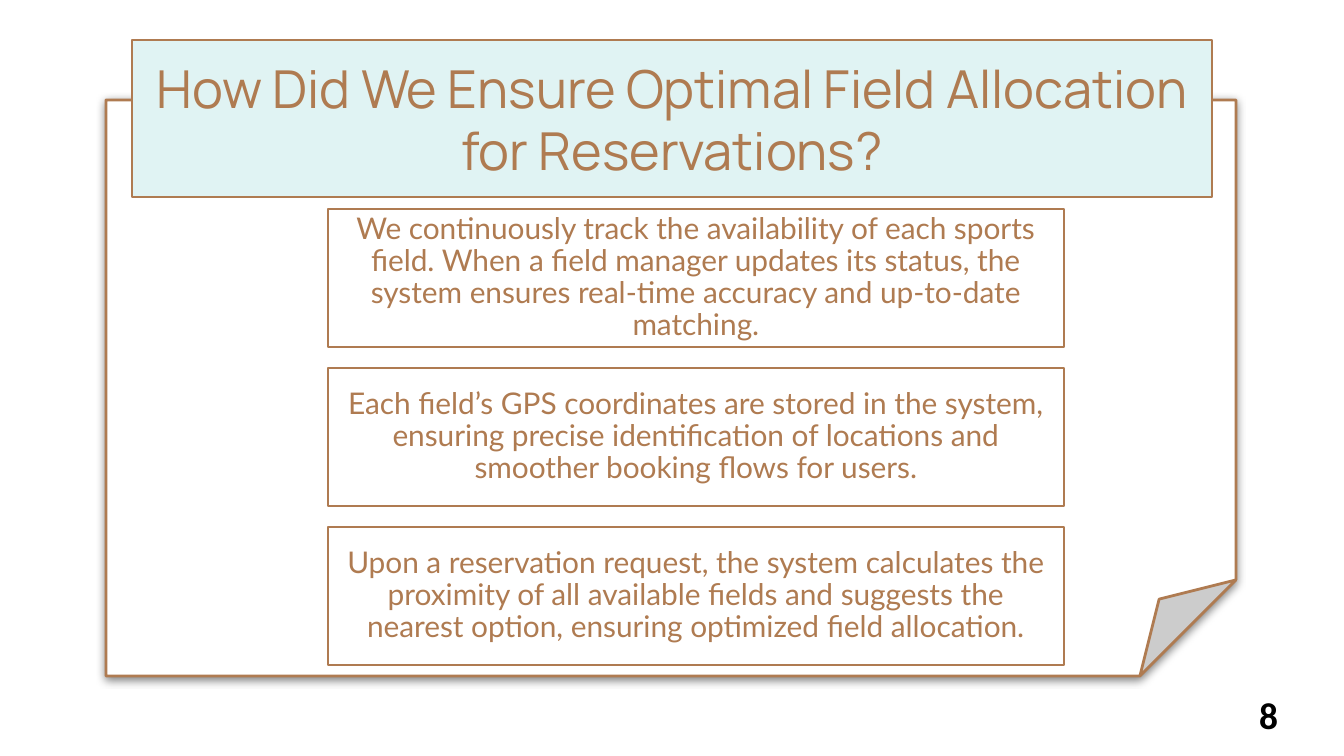
from lxml import etree
from pptx import Presentation
from pptx.dml.color import RGBColor
from pptx.enum.shapes import MSO_SHAPE
from pptx.enum.text import MSO_ANCHOR, PP_ALIGN
from pptx.oxml.ns import qn
from pptx.util import Emu, Pt

RECT, FOLDED = MSO_SHAPE.RECTANGLE, MSO_SHAPE.FOLDED_CORNER
MIDDLE, TOP = MSO_ANCHOR.MIDDLE, MSO_ANCHOR.TOP
CENTER, LEFT = PP_ALIGN.CENTER, PP_ALIGN.LEFT

BROWN = RGBColor(0xAF, 0x7B, 0x51)
MINT = RGBColor(0xE0, 0xF3, 0xF3)
WHITE = RGBColor(0xFF, 0xFF, 0xFF)
BLACK = RGBColor(0, 0, 0)

# Content
TITLE = "How Did We Ensure Optimal Field Allocation for Reservations?"
STEPS = [
    "We continuously track the availability of each sports field. When a field manager "
    "updates its status, the system ensures real-time accuracy and up-to-date matching.",
    "Each field’s GPS coordinates are stored in the system, ensuring precise "
    "identification of locations and smoother booking flows for users.",
    "Upon a reservation request, the system calculates the proximity of all available "
    "fields and suggests the nearest option, ensuring optimized field allocation.",
]
PAGE_NUMBER = "8"

# Layout in px
SLIDE_W, SLIDE_H = 1344, 756
PAPER = (106, 100, 1130, 576)
TITLE_BOX = (132, 40, 1080, 157)
NUMBER_BOX = (1246, 685, 81, 58)
STEP_X, STEP_Y, STEP_W, STEP_H, STEP_GAP = 328, 209, 736, 138, 21


def px(n):
    return Emu(round(n * 914400 / 134.4))


def add_box(s, kind, box, fill, line_width):
    sp = s.shapes.add_shape(kind, *map(px, box))
    sp.shadow.inherit = False
    sp.fill.solid()
    sp.fill.fore_color.rgb = fill
    sp.line.color.rgb = BROWN
    sp.line.width = Pt(line_width)
    return sp


def write(sp, text, font, size, color, inset, align=CENTER, anchor=MIDDLE,
          bold=False, spacing=None):
    tf = sp.text_frame
    tf.word_wrap = True
    tf.vertical_anchor = anchor
    tf.margin_left = tf.margin_right = px(inset[0])
    tf.margin_top = tf.margin_bottom = px(inset[1])
    p = tf.paragraphs[0]
    p.alignment = align
    p.line_spacing = spacing
    r = p.add_run()
    r.text = text
    r.font.name = font
    r.font.size = Pt(size)
    r.font.bold = bold
    r.font.color.rgb = color


def set_fold(sp, size):
    guides = sp._element.spPr.find(qn("a:prstGeom")).find(qn("a:avLst"))
    etree.SubElement(guides, qn("a:gd"), name="adj", fmla=f"val {size}")


def add_shadow(sp):
    effects = sp._element.spPr.find(qn("a:effectLst"))
    shadow = etree.SubElement(effects, qn("a:outerShdw"), blurRad=str(Pt(4.5)),
                              dist=str(Pt(1.5)), dir="5400000", rotWithShape="0")
    color = etree.SubElement(shadow, qn("a:srgbClr"), val=str(BLACK))
    etree.SubElement(color, qn("a:alpha"), val="50000")


prs = Presentation()
prs.slide_width, prs.slide_height = px(SLIDE_W), px(SLIDE_H)
s = prs.slides.add_slide(prs.slide_layouts[6])

# Paper with a folded corner
paper = add_box(s, FOLDED, PAPER, WHITE, 1.5)
set_fold(paper, 16667)
add_shadow(paper)

# Title
title = add_box(s, RECT, TITLE_BOX, MINT, 1.5)
write(title, TITLE, "Manrope", 28, BROWN, (13, 13))

# Page number
number = s.shapes.add_textbox(*map(px, NUMBER_BOX))
write(number, PAGE_NUMBER, "Calibri", 20, BLACK, (13, 7), LEFT, TOP, bold=True)

# Steps
for i, text in enumerate(STEPS):
    y = STEP_Y + i * (STEP_H + STEP_GAP)
    step = add_box(s, RECT, (STEP_X, y, STEP_W, STEP_H), WHITE, 1)
    write(step, text, "Lato", 16, BROWN, (10, 10), spacing=0.9)

prs.save("out.pptx")
